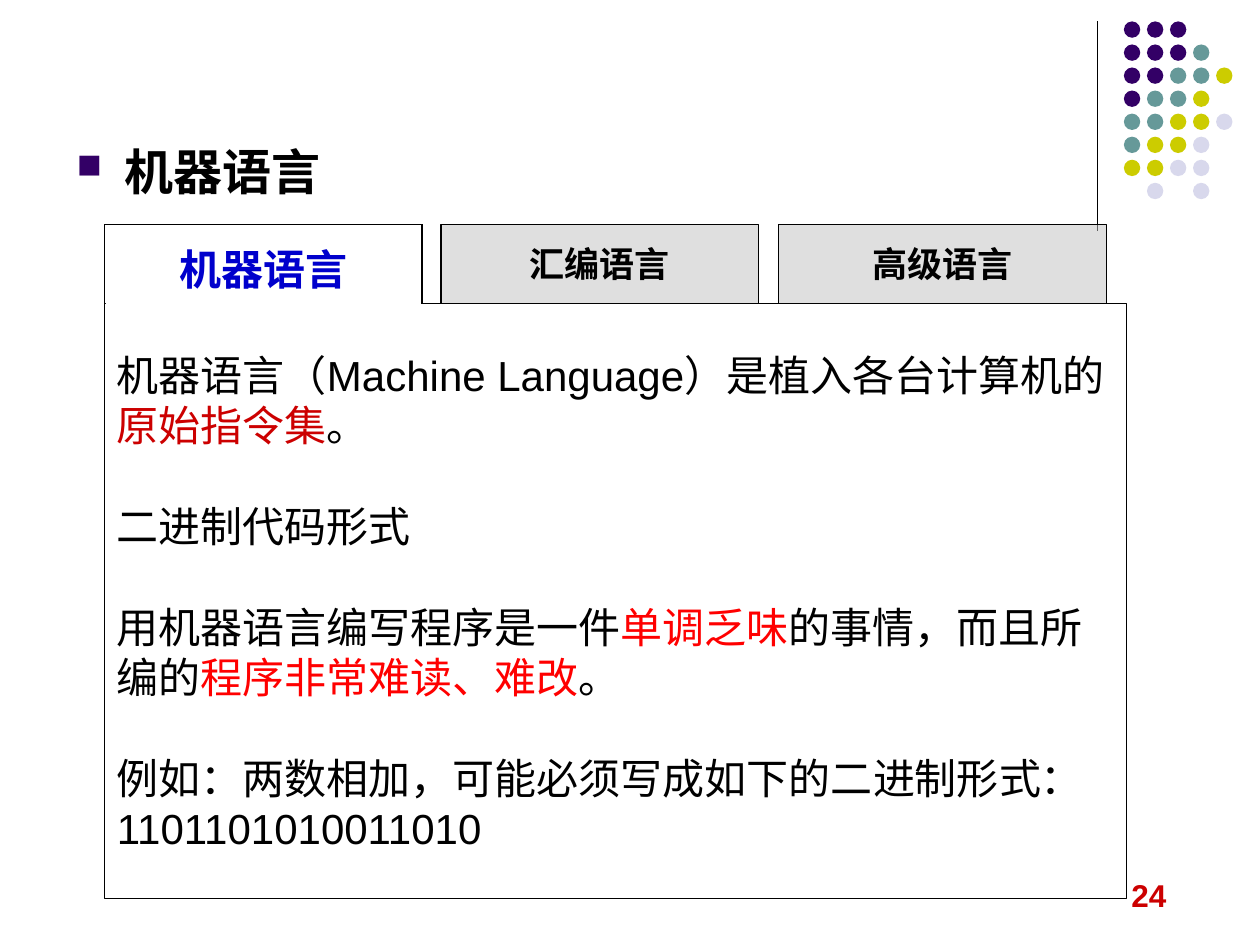
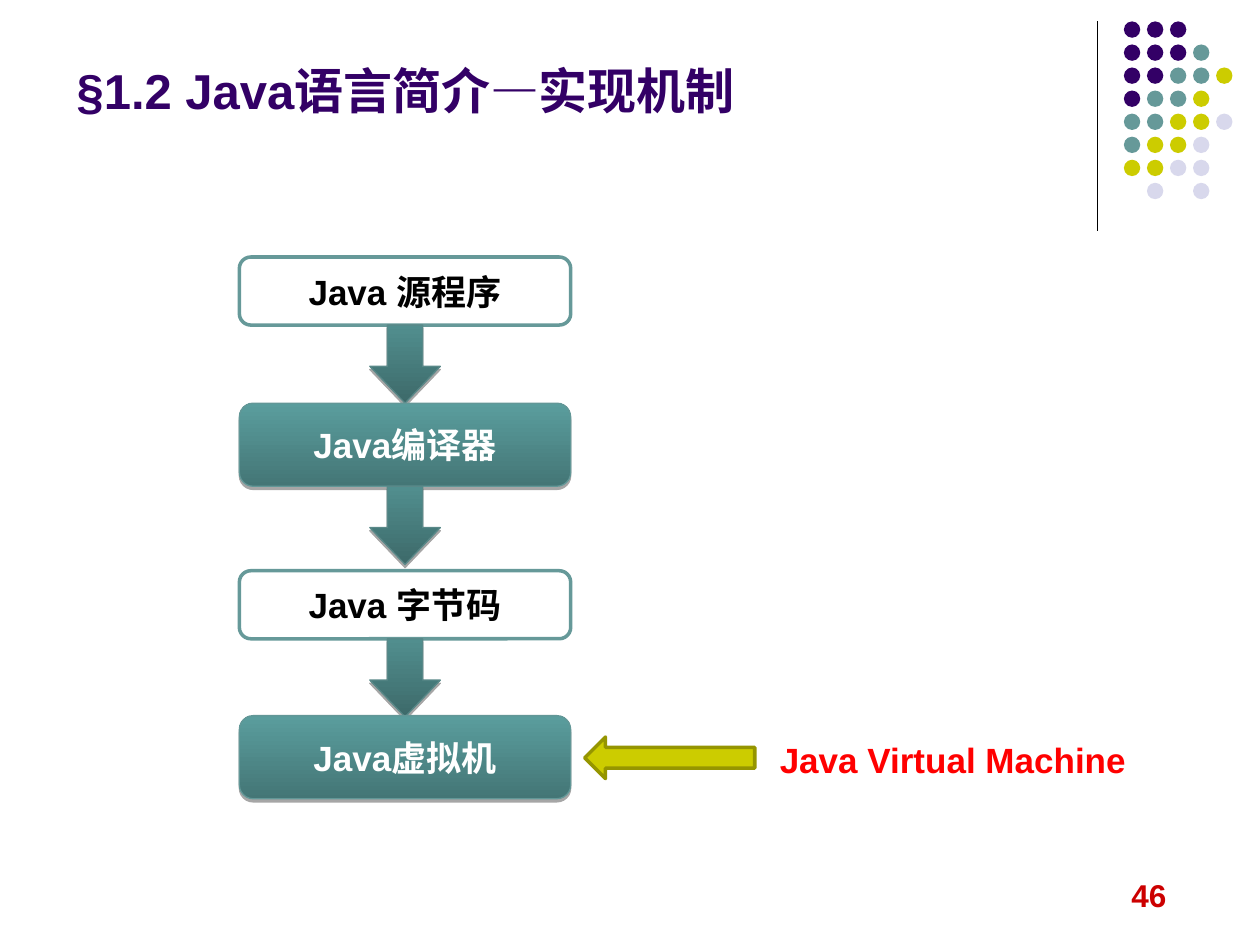
from lxml import etree
from pptx import Presentation
from pptx.dml.color import RGBColor
from pptx.enum.shapes import MSO_CONNECTOR, MSO_SHAPE
from pptx.enum.text import MSO_ANCHOR, PP_ALIGN
from pptx.oxml.ns import qn
from pptx.util import Inches, Pt

RECT, OVAL = MSO_SHAPE.RECTANGLE, MSO_SHAPE.OVAL
ROUND, PROCESS = MSO_SHAPE.ROUNDED_RECTANGLE, MSO_SHAPE.FLOWCHART_ALTERNATE_PROCESS
DOWN, LEFT_ARROW = MSO_SHAPE.DOWN_ARROW, MSO_SHAPE.LEFT_ARROW
STRAIGHT = MSO_CONNECTOR.STRAIGHT
TOP, MIDDLE, BOTTOM = MSO_ANCHOR.TOP, MSO_ANCHOR.MIDDLE, MSO_ANCHOR.BOTTOM
LEFT, CENTER = PP_ALIGN.LEFT, PP_ALIGN.CENTER

LATIN, CJK = "Arial", "Noto Sans CJK SC"
COLORS = {
    "purple": "330066", "teal": "669999", "lime": "CCCC00", "lilac": "D8D8EC",
    "black": "000000", "white": "FFFFFF", "gray": "C0C0C0", "blue": "0000CC",
    "crimson": "CC0000", "red": "FF0000", "olive": "959500",
    "arrow_dark": "3D6A6A", "arrow_light": "518E8E", "arrow_line": "598888",
    "step_dark": "447676", "step_light": "5A9D9D", "step_line": "629797",
}
DOT_COLORS = {"P": "purple", "T": "teal", "Y": "lime", "L": "lilac"}
DOT_ROWS = ["PPP", "PPPT", "PPTTY", "PTTY", "TTYYL", "TYYL", "YYLL", " L L"]


def rgb(name):
    return RGBColor.from_string(COLORS[name])


def add_xml(parent, tag, **attrs):
    return etree.SubElement(parent, qn(tag), attrs)


# Text helpers
def write(p, runs, size, bold=True):
    """Fill a paragraph with (text, colour name) runs."""
    for text, color in runs:
        r = p.add_run()
        r.text = text
        for key, value in {"name": LATIN, "size": Pt(size), "bold": bold}.items():
            setattr(r.font, key, value)
        r.font.color.rgb = rgb(color)
        add_xml(r.font._element, "a:ea", typeface=CJK)


def set_frame(tf, **settings):
    for key, value in {"word_wrap": True, "vertical_anchor": MIDDLE, **settings}.items():
        setattr(tf, key, value)


def add_label(s, box, text, size, color, **settings):
    tf = s.shapes.add_textbox(*map(Inches, box)).text_frame
    set_frame(tf, **{"vertical_anchor": TOP, **settings})
    write(tf.paragraphs[0], [(text, color)], size)
    return tf.paragraphs[0]


# Shape helpers
def add_box(s, kind, box, fill=None, line=None, width=0.75, adjust=()):
    """Draw a preset; fill is a colour name or a (bottom, top) gradient."""
    sp = s.shapes.add_shape(kind, *map(Inches, box))
    sp.shadow.inherit = False
    for i, value in enumerate(adjust):
        sp.adjustments[i] = value
    if isinstance(fill, tuple):
        sp.fill.gradient()
        sp.fill.gradient_angle = 90
        for stop, name in zip(sp.fill.gradient_stops, fill):
            stop.color.rgb = rgb(name)
    elif fill:
        sp.fill.solid()
        sp.fill.fore_color.rgb = rgb(fill)
    else:
        sp.fill.background()
    if line:
        sp.line.color.rgb = rgb(line)
        sp.line.width = Pt(width)
    else:
        sp.line.fill.background()
    return sp


def add_caption(sp, text, size, color):
    set_frame(sp.text_frame)
    p = sp.text_frame.paragraphs[0]
    p.alignment = CENTER
    write(p, [(text, color)], size)


def add_shadow(sp):
    effects = sp.element.spPr.find(qn("a:effectLst"))
    shadow = add_xml(effects, "a:outerShdw", dist=str(Pt(1.8)), dir="5400000", rotWithShape="0")
    color = add_xml(shadow, "a:srgbClr", val=COLORS["black"])
    add_xml(color, "a:alpha", val="35000")


def add_line(s, x1, y1, x2, y2):
    line = s.shapes.add_connector(STRAIGHT, *map(Inches, (x1, y1, x2, y2)))
    line.line.color.rgb = rgb("black")
    line.line.width = Pt(0.75)
    add_xml(line.element.spPr, "a:effectLst")


# Parts shared by the slides
def add_dots(s, x, y, pitch=0.183, size=0.13):
    for row, codes in enumerate(DOT_ROWS):
        for col, code in enumerate(codes):
            if code in DOT_COLORS:
                add_box(s, OVAL, (x + col * pitch, y + row * pitch, size, size), DOT_COLORS[code])


def new_slide(prs, number):
    s = prs.slides.add_slide(prs.slide_layouts[6])
    add_line(s, 8.71, 0.17, 8.71, 1.83)
    add_dots(s, 8.92, 0.17)
    add_label(s, (8.88, 6.9, 1.41, 0.4), number, 18, "crimson", word_wrap=False)
    return s


def add_title(s, text):
    add_label(s, (0.51, 0.21, 8.25, 0.79), text, 28, "purple", vertical_anchor=BOTTOM)


def add_bullet_heading(s, box, text):
    p = add_label(s, box, text, 28, "black")
    pPr = p._p.get_or_add_pPr()
    pPr.set("marL", str(Inches(0.38)))
    pPr.set("indent", str(-Inches(0.38)))
    add_xml(add_xml(pPr, "a:buClr"), "a:srgbClr", val=COLORS["purple"])
    add_xml(pPr, "a:buSzPct", val="70000")
    add_xml(pPr, "a:buChar", char="■")


# Tabbed panel
def add_tab_panel(s, box, paragraphs, active, others):
    """Panel below a row of tabs; the active tab opens into the panel."""
    x, y, w, h = box
    tab_h, tab_w, line_pt = 0.63, 2.52, 28.8
    panel_y = y + tab_h
    panel = add_box(s, RECT, (x, panel_y, w, h - tab_h), line="black")
    tf = panel.text_frame
    set_frame(tf)
    for i, (runs, gap) in enumerate(paragraphs):
        p = tf.add_paragraph() if i else tf.paragraphs[0]
        p.alignment = LEFT
        p.line_spacing = Pt(line_pt)
        p.space_before = Pt(line_pt if gap else 0)
        write(p, runs, 24, bold=False)

    # Active tab with three open sides drawn as lines
    tab = add_box(s, RECT, (x + 0.01, y, tab_w - 0.01, tab_h + 0.08), "white")
    add_caption(tab, active, 24, "blue")
    for text, offset, width in others:
        tab = add_box(s, RECT, (x + offset, y, width, tab_h), "gray", "black")
        add_xml(tab.element.spPr.find(".//" + qn("a:srgbClr")), "a:alpha", val="50000")
        add_caption(tab, text, 20, "black")
    right = x + tab_w
    corners = [(x, panel_y), (x, y), (right, y), (right, panel_y)]
    for start, end in zip(corners, corners[1:]):
        add_line(s, *start, *end)


# Vertical flow
def add_flow(s, x, y, w, steps):
    """Plain boxes hold data, shaded ones are tools; arrows join them."""
    arrow_w, arrow_h = 0.56, 0.62
    for i, (text, offset, is_tool) in enumerate(steps):
        h = 0.66 if is_tool else 0.54
        box = (x, y + offset, w, h)
        if is_tool:
            sp = add_box(s, PROCESS, box, ("step_dark", "step_light"), "step_line")
            add_shadow(sp)
        else:
            sp = add_box(s, ROUND, box, "white", "teal", 2, [0.167])
        add_caption(sp, text, 20, "white" if is_tool else "black")
        if i < len(steps) - 1:
            arrow = add_box(s, DOWN, (x + (w - arrow_w) / 2, y + offset + h, arrow_w, arrow_h),
                            ("arrow_dark", "arrow_light"), "arrow_line", adjust=[0.5, 0.523])
            add_shadow(arrow)


def add_callout(s, x, y, text):
    add_box(s, LEFT_ARROW, (x, y + 0.04, 1.35, 0.33), "lime", "olive", 2, [0.5, 0.5])
    add_label(s, (x + 1.45, y, 3.19, 0.44), text, 20, "red")


# Slides
def machine_language_slide(prs):
    s = new_slide(prs, "24")
    add_bullet_heading(s, (0.51, 1.07, 9, 0.79), "机器语言")
    paragraphs = [  # (runs, gap above)
        ([("机器语言（Machine Language）是植入各台计算机的", "black"),
          ("原始指令集", "crimson"), ("。", "black")], False),
        ([("二进制代码形式", "black")], True),
        ([("用机器语言编写程序是一件", "black"), ("单调乏味", "red"),
          ("的事情，而且所编的", "black"), ("程序非常难读、难改", "red"), ("。", "black")], True),
        ([("例如：两数相加，可能必须写成如下的二进制形式：", "black")], True),
        ([("1101101010011010", "black")], False),
    ]
    add_tab_panel(s, (0.83, 1.78, 8.11, 5.35), paragraphs, "机器语言",
                  [("汇编语言", 2.67, 2.52), ("高级语言", 5.35, 2.6)])


def java_mechanism_slide(prs):
    s = new_slide(prs, "46")
    add_title(s, "§1.2 Java语言简介—实现机制")
    add_flow(s, 1.9, 2.04, 2.63, [
        ("Java 源程序", 0, False),
        ("Java编译器", 1.16, True),
        ("Java 字节码", 2.49, False),
        ("Java虚拟机", 3.64, True),
    ])
    add_callout(s, 4.64, 5.81, "Java Virtual Machine")


def main():
    prs = Presentation()
    prs.slide_width, prs.slide_height = Inches(10), Inches(7.5)
    machine_language_slide(prs)
    java_mechanism_slide(prs)
    prs.save("out.pptx")


if __name__ == "__main__":
    main()
